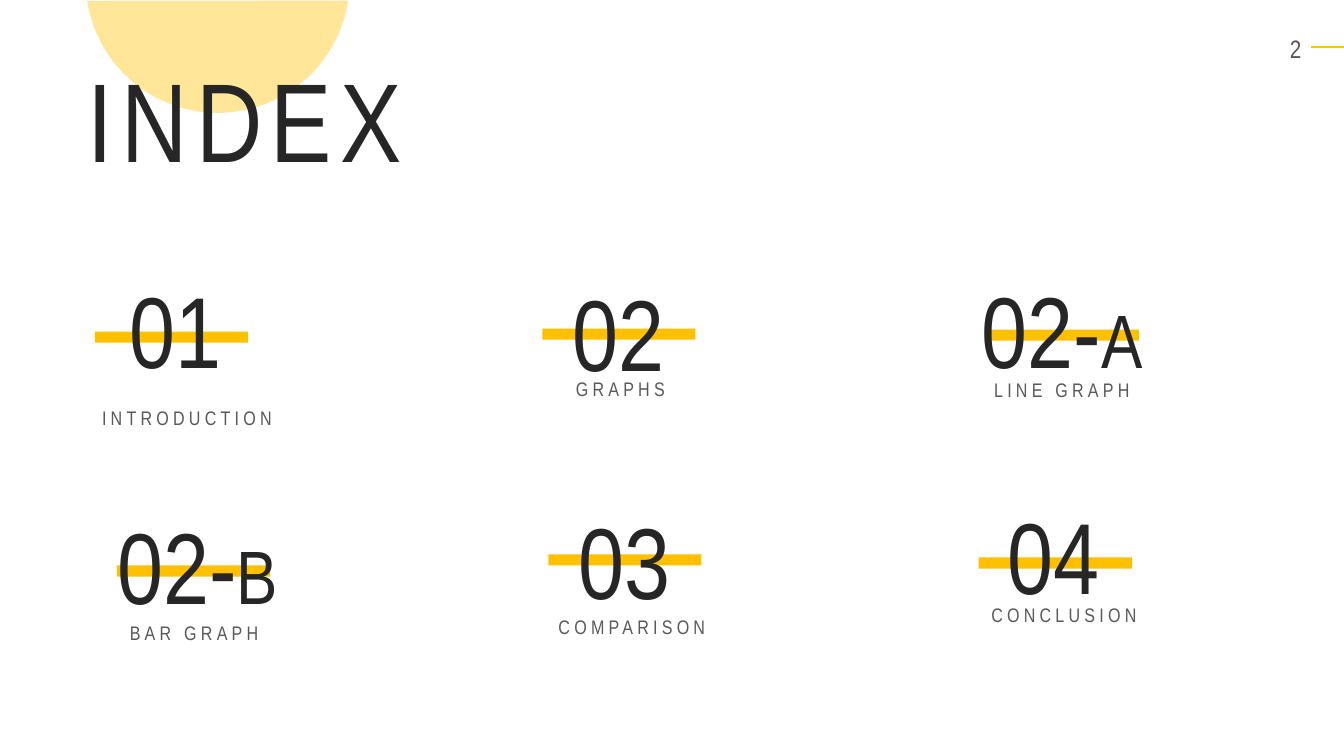
from lxml.etree import SubElement
from pptx import Presentation
from pptx.dml.color import RGBColor
from pptx.enum.shapes import MSO_CONNECTOR, MSO_SHAPE
from pptx.enum.text import MSO_ANCHOR, MSO_AUTO_SIZE as AutoSize, PP_ALIGN as Align
from pptx.oxml.ns import qn
from pptx.util import Pt

FONT = "Arial Narrow"
AMBER = RGBColor(0xFF, 0xC0, 0x00)
PALE_AMBER = RGBColor(0xFF, 0xE6, 0x99)
INK = RGBColor(0x26, 0x26, 0x26)
GREY = RGBColor(0x59, 0x59, 0x59)

SLIDE_W, SLIDE_H = 960, 540
BAR_W, BAR_H = 109.4, 7.9
NUMBER_H, LABEL_H = 94.3, 24.5

TITLE = "INDEX"
PAGE = "2"
# number, letter, label, bar (left, top), number (left, top, width), label (left, top, width)
ENTRIES = [
    ("01", "", "INTRODUCTION", (67.7, 236.9), (74.9, 187.9, 100.8), (47.5, 286.6, 172.1)),
    ("02", "", "GRAPHS", (387.4, 234.7), (391.7, 190.1, 100.8), (357.1, 265.7, 172.1)),
    ("02-", "A", "LINE GRAPH", (704.2, 235.4), (682.6, 187.9, 151.9), (672.5, 266.4, 172.1)),
    ("02-", "B", "BAR GRAPH", (83.5, 403.9), (61.2, 356.4, 159.8), (52.6, 439.9, 172.1)),
    ("03", "", "COMPARISON", (391.7, 396), (396, 352.8, 100.8), (386.6, 435.6, 129.6)),
    ("04", "", "CONCLUSION", (699.1, 398.2), (702, 349.2, 100.8), (673.9, 427, 172.1)),
]


def add_run(paragraph, text, size, color, spacing=0):
    run = paragraph.add_run()
    run.text = text
    run.font.name = FONT
    run.font.size = Pt(size)
    run.font.color.rgb = color
    if spacing:
        run.font._element.set("spc", str(spacing * 100))


def add_text(slide, left, top, width, height, align, runs):
    """Add a one-paragraph text box; runs hold text, size, colour and spacing."""
    box = slide.shapes.add_textbox(Pt(left), Pt(top), Pt(width), Pt(height))
    frame = box.text_frame
    frame.word_wrap = True
    frame.auto_size = AutoSize.SHAPE_TO_FIT_TEXT
    paragraph = frame.paragraphs[0]
    paragraph.alignment = align
    for run in runs:
        add_run(paragraph, *run)


def add_filled(slide, kind, left, top, width, height, color):
    shape = slide.shapes.add_shape(kind, Pt(left), Pt(top), Pt(width), Pt(height))
    shape.shadow.inherit = False
    shape.fill.solid()
    shape.fill.fore_color.rgb = color
    shape.line.fill.background()
    return shape


def add_page_mark(slide):
    rule = slide.shapes.add_connector(
        MSO_CONNECTOR.STRAIGHT, Pt(SLIDE_W), Pt(33.8), Pt(936.7), Pt(33.8))
    rule.line.color.rgb = AMBER
    rule.line.width = Pt(1.5)
    SubElement(rule._element.spPr, qn("a:effectLst"))
    add_text(slide, 876.2, 20.2, 60.5, 25.2, Align.RIGHT, [(PAGE, 18, GREY, 3)])


def add_entry(slide, number, letter, label, bar_at, number_at, label_at):
    add_filled(slide, MSO_SHAPE.RECTANGLE, *bar_at, BAR_W, BAR_H, AMBER)
    runs = [(number, 72, INK)]
    if letter:
        runs.append((letter, 54, INK))
    add_text(slide, *number_at, NUMBER_H, Align.CENTER, runs)
    add_text(slide, *label_at, LABEL_H, Align.CENTER, [(label, 14, GREY, 3)])


def place_title(slide):
    title = slide.shapes.title
    title.left, title.top, title.width, title.height = map(Pt, (55.4, 32.4, 263.5, 104.4))
    frame = title.text_frame
    frame.word_wrap = True
    frame.auto_size = AutoSize.SHAPE_TO_FIT_TEXT
    frame.vertical_anchor = MSO_ANCHOR.TOP
    frame.paragraphs[0].alignment = Align.LEFT
    add_run(frame.paragraphs[0], TITLE, 80, INK, 6)
    slide.shapes.element.append(title.element)  # bring in front of the sun


def main():
    deck = Presentation()
    deck.slide_width, deck.slide_height = Pt(SLIDE_W), Pt(SLIDE_H)
    slide = deck.slides.add_slide(deck.slide_layouts.get_by_name("Title Only"))
    add_page_mark(slide)
    sun = add_filled(slide, MSO_SHAPE.CHORD, 61.2, -108, 188.6, 188.6, PALE_AMBER)
    sun.rotation = 270
    sun.adjustments[0], sun.adjustments[1] = 59.17, 156.72
    for entry in ENTRIES:
        add_entry(slide, *entry)
    place_title(slide)
    deck.save("out.pptx")


if __name__ == "__main__":
    main()
